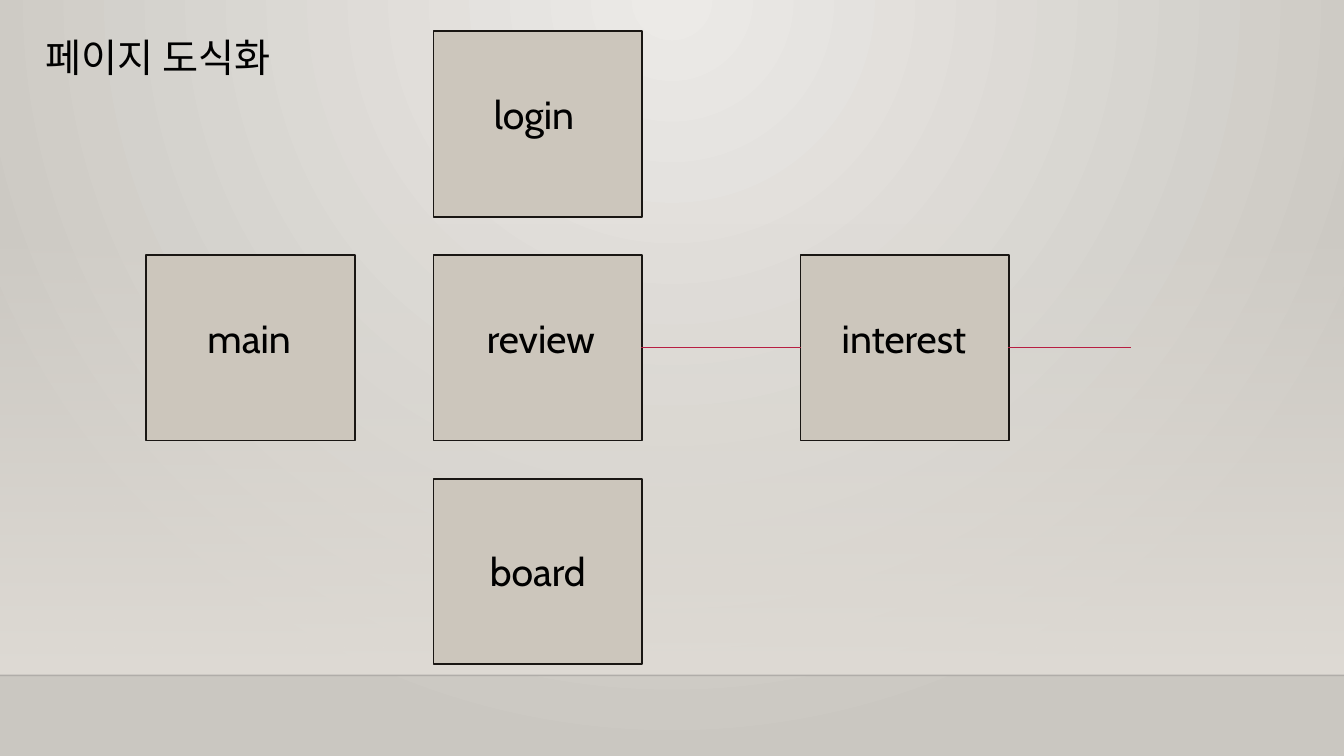
from dataclasses import dataclass

from lxml import etree
from pptx import Presentation
from pptx.dml.color import RGBColor
from pptx.enum.shapes import MSO_CONNECTOR as Connector, MSO_SHAPE as Shape
from pptx.enum.text import MSO_ANCHOR as Anchor, MSO_AUTO_SIZE as AutoSize, PP_ALIGN as Align
from pptx.oxml import parse_xml
from pptx.oxml.ns import nsdecls, qn
from pptx.util import Inches, Pt


@dataclass(frozen=True)
class Theme:
    glow: str = "ECEAE7"
    edge: str = "CAC7C1"
    wall: str = "DFDBD5"
    floor_line: str = "000001"
    card: str = "CCC6BC"
    border: str = "191613"
    link: str = "B71E42"
    ink: str = "000000"
    latin: str = "Cabin"
    korean: str = "Noto Sans CJK KR"
    size: int = 28


THEME = Theme()

# Content: page name, column, row, label offset inside its card
TITLE = "페이지 도식화"
PAGES = [
    ("main", 0, 1, 0.51, 0.54),
    ("login", 1, 0, 0.5, 0.54),
    ("review", 1, 1, 0.43, 0.54),
    ("board", 1, 2, 0.46, 0.63),
    ("interest", 2, 1, 0.31, 0.54),
]
LINKS = [(6.36, 7.94), (10, 11.22)]

# Layout
WIDTH, HEIGHT, FLOOR = 13.33, 7.5, 6.7
WALL_TOP, WALL_HEIGHT = 2.21, 4.49
COLUMNS = (1.45, 4.3, 7.94)
CARD_WIDTH, CARD_HEIGHT = 2.07, 1.84
FIRST_ROW, ROW_STEP = 0.31, 2.22
LABEL_WIDTH, LABEL_HEIGHT = 1.44, 0.57
LINK_Y = FIRST_ROW + ROW_STEP + CARD_HEIGHT / 2


def gradient(start, end, direction, start_alpha=100):
    return parse_xml(
        f'<a:gradFill {nsdecls("a")} rotWithShape="1"><a:gsLst>'
        f'<a:gs pos="0"><a:srgbClr val="{start}"><a:alpha val="{start_alpha * 1000}"/></a:srgbClr></a:gs>'
        f'<a:gs pos="100000"><a:srgbClr val="{end}"/></a:gs>'
        f'</a:gsLst>{direction}</a:gradFill>')


def write(box, text, font=THEME.latin, size=THEME.size, color=THEME.ink):
    frame = box.text_frame
    frame.word_wrap = True
    frame.auto_size = AutoSize.SHAPE_TO_FIT_TEXT
    frame.vertical_anchor = Anchor.TOP
    para = frame.paragraphs[0]
    para.alignment = Align.LEFT
    span = para.add_run()
    span.text = text
    span.font.name, span.font.size = font, Pt(size)
    span.font.color.rgb = RGBColor.from_string(color)
    etree.SubElement(span.font._element, qn("a:ea")).set("typeface", font)


def add_rectangle(left, top, width, height):
    box = page.shapes.add_shape(
        Shape.RECTANGLE, Inches(left), Inches(top), Inches(width), Inches(height))
    box.shadow.inherit = False
    return box


def add_line(left, right, y, color, weight):
    line = page.shapes.add_connector(
        Connector.STRAIGHT, Inches(left), Inches(y), Inches(right), Inches(y))
    line.line.color.rgb = RGBColor.from_string(color)
    line.line.width = Pt(weight)
    etree.SubElement(line._element.spPr, qn("a:effectLst"))
    return line


deck = Presentation()
deck.slide_width, deck.slide_height = Inches(WIDTH), Inches(HEIGHT)
page = deck.slides.add_slide(deck.slide_layouts[5])

# Background: light falling from the top centre
page.background.fill.solid()
solid = page.background._cSld.find(".//" + qn("a:solidFill"))
solid.getparent().replace(solid, gradient(
    THEME.glow, THEME.edge,
    '<a:path path="circle"><a:fillToRect l="43000" r="43000" b="100000"/></a:path>'))

# Wall and floor edge
wall = add_rectangle(0, WALL_TOP, WIDTH, WALL_HEIGHT)
wall.line.fill.background()
wall.fill.background()
empty = wall._element.spPr.find(qn("a:noFill"))
empty.getparent().replace(empty, gradient(
    THEME.wall, THEME.wall, '<a:lin ang="5400000" scaled="0"/>', start_alpha=0))
floor = add_line(0, WIDTH, FLOOR, THEME.floor_line, 1)
tint = floor._element.spPr.find(".//" + qn("a:srgbClr"))
etree.SubElement(tint, qn("a:alpha")).set("val", "20000")

# Title
title = page.shapes.title
title.left, title.top, title.width, title.height = map(Inches, (0.35, 0.28, 2.46, 0.57))
write(title, TITLE, font=THEME.korean)

# Page cards with their labels
for name, column, row, shift_x, shift_y in PAGES:
    left, top = COLUMNS[column], FIRST_ROW + row * ROW_STEP
    card = add_rectangle(left, top, CARD_WIDTH, CARD_HEIGHT)
    card.fill.solid()
    card.fill.fore_color.rgb = RGBColor.from_string(THEME.card)
    card.line.color.rgb = RGBColor.from_string(THEME.border)
    card.line.width = Pt(1.25)
    label = page.shapes.add_textbox(
        Inches(left + shift_x), Inches(top + shift_y), Inches(LABEL_WIDTH), Inches(LABEL_HEIGHT))
    write(label, name)

# Links between pages
for start, end in LINKS:
    add_line(start, end, LINK_Y, THEME.link, 0.75)

deck.save("out.pptx")
